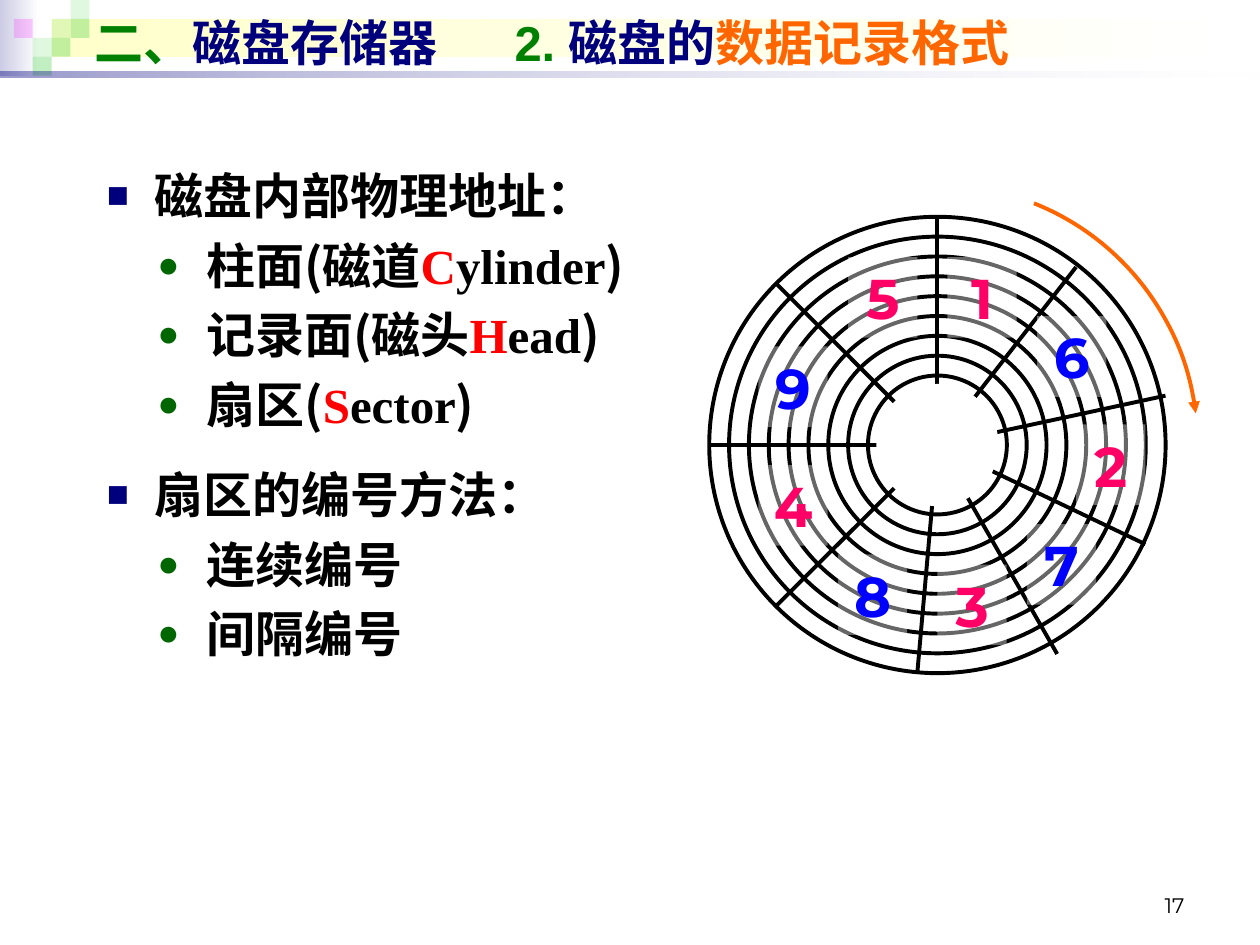
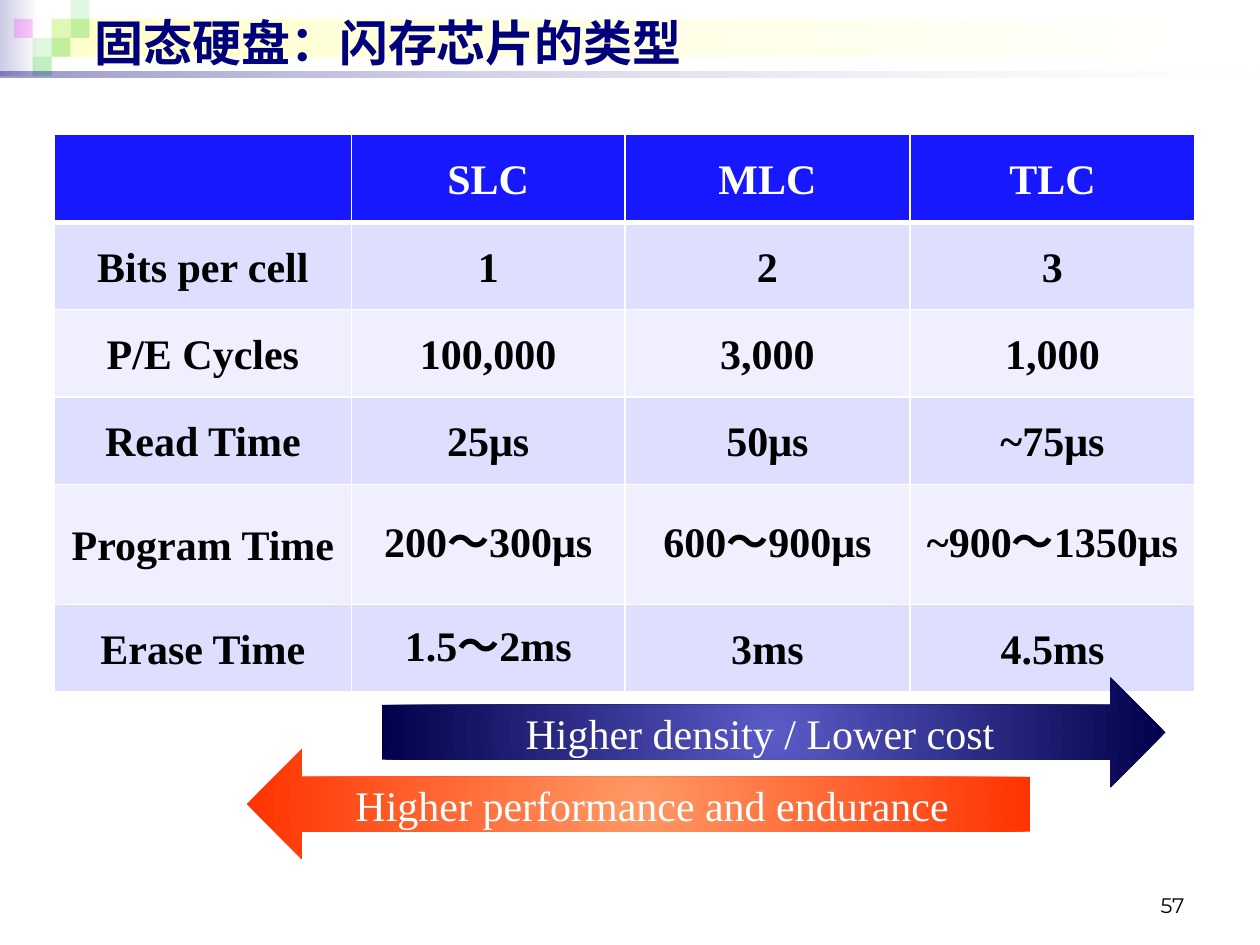
from pptx import Presentation
from pptx.dml.color import RGBColor
from pptx.enum.shapes import MSO_CONNECTOR, MSO_SHAPE as SHAPE
from pptx.enum.text import MSO_ANCHOR as ANCHOR, MSO_AUTO_SIZE, PP_ALIGN as ALIGN
from pptx.oxml.ns import qn
from pptx.util import Pt
from lxml.etree import SubElement

COLORS = {
    "white": "FFFFFF", "black": "000000", "navy": "00007D", "green": "008000",
    "orange": "FF6600", "red": "FF0000", "pink": "FF0066", "blue": "0000FF",
    "dot": "006600", "lilac": "CCCCE6", "cream": "FFFFCC", "lime": "33CC33",
    "magenta": "FF00FF", "head": "1818FF", "row_dark": "DEDEFF",
    "row_light": "EFEFFF", "indigo": "5B5BC7", "midnight": "00004A",
    "peach": "FF9966", "flame": "FF3300",
}
SERIF, SANS, CJK, LABEL = "Times New Roman", "Arial", "Noto Sans CJK SC", "Montserrat"

# Column, row, colour and opacity of the corner mosaic
MOSAIC = [(2, 1, "lime", 15), (3, 0, "lime", 15), (3, 1, "lime", 30),
          (1, 2, "lime", 15), (0, 1, "magenta", 20), (2, 2, "lime", 30),
          (1, 3, "lime", 30)]
TILE = 10.8


def rgb(name):
    return RGBColor.from_string(COLORS[name])


def add(parent, tag, **attrs):
    return SubElement(parent, qn(tag), {k: str(v) for k, v in attrs.items()})


class Deck:
    def __init__(self):
        self.prs = Presentation()
        self.prs.slide_width, self.prs.slide_height = Pt(720), Pt(540)
        self.s = None

    def slide(self, title, number):
        self.s = self.prs.slides.add_slide(self.prs.slide_layouts[5])
        self.band()
        self.title(title)
        self.text(516.2, 491.8, 167.8, 36, [(number, LABEL, "black")], 12,
                  ALIGN.RIGHT, ANCHOR.BOTTOM)

    def band(self):
        self.shape(SHAPE.RECTANGLE, 0, 0, 22.3, 43.2, ("lilac", "white"))
        self.shape(SHAPE.RECTANGLE, 29.5, TILE, 687.6, 21.6, ("cream", "white"))
        for col, row, color, alpha in MOSAIC:
            self.shape(SHAPE.RECTANGLE, 7.9 + col * TILE, row * TILE, TILE, TILE,
                       (color,), alphas=(alpha,))
        self.shape(SHAPE.RECTANGLE, 0, 41, 720, 3.6, ("navy", "white"), alphas=(40, 10))

    def title(self, runs):
        sp = self.s.shapes.title
        sp.left, sp.top, sp.width, sp.height = Pt(46.8), Pt(3.6), Pt(648), Pt(41)
        self.s.shapes.element.append(sp.element)  # in front of the band
        tf = sp.text_frame
        tf.auto_size, tf.vertical_anchor = MSO_AUTO_SIZE.NONE, ANCHOR.MIDDLE
        p = tf.paragraphs[0]
        p.alignment = ALIGN.LEFT
        tabs = add(p._p.get_or_add_pPr(), "a:tabLst")
        add(tabs, "a:tab", pos=Pt(240), algn="l")
        self.runs(p, [(text, SANS, color) for text, color in runs], 28, True)

    def runs(self, p, runs, size, bold=False):
        for text, font, color in runs:
            r = p.add_run()
            r.text = text
            r.font.name, r.font.size, r.font.bold = font, Pt(size), bold
            r.font.color.rgb = rgb(color)
            add(r._r.get_or_add_rPr(), "a:ea", typeface=CJK)

    def text(self, x, y, w, h, runs, size, align, anchor):
        tf = self.s.shapes.add_textbox(Pt(x), Pt(y), Pt(w), Pt(h)).text_frame
        tf.word_wrap, tf.vertical_anchor = True, anchor
        p = tf.paragraphs[0]
        p.alignment = align
        self.runs(p, runs, size)

    def bullets(self, x, y, w, h, items):
        tf = self.s.shapes.add_textbox(Pt(x), Pt(y), Pt(w), Pt(h)).text_frame
        tf.word_wrap = True
        for i, (level, runs) in enumerate(items):
            p = tf.paragraphs[0] if i == 0 else tf.add_paragraph()
            char, color, margin, hang, before = (
                ("●", "dot", 56.9, 28.1, 6) if level else ("■", "navy", 27.4, 27.4, 18))
            pPr = p._p.get_or_add_pPr()
            pPr.set("marL", str(Pt(margin)))
            pPr.set("indent", str(-Pt(hang)))
            add(add(pPr, "a:buClr"), "a:srgbClr", val=COLORS[color])
            add(pPr, "a:buSzPct", val=75000)
            add(pPr, "a:buFont", typeface=SANS)
            add(pPr, "a:buChar", char=char)
            p.line_spacing = Pt(33.7)
            p.space_before = Pt(before if i else 0)
            self.runs(p, runs, 28, True)

    def shape(self, kind, x, y, w, h, fill=(), line=None, alphas=(), radial=False):
        """One fill colour is solid, two make a gradient."""
        sp = self.s.shapes.add_shape(kind, Pt(x), Pt(y), Pt(w), Pt(h))
        sp.shadow.inherit = False
        spPr = sp.element.spPr
        if len(fill) == 2:
            sp.fill.gradient()
            sp.fill.gradient_angle = 0
            for stop, color in zip(sp.fill.gradient_stops, fill):
                stop.color.rgb = rgb(color)
        elif fill:
            sp.fill.solid()
            sp.fill.fore_color.rgb = rgb(fill[0])
        else:
            sp.fill.background()
        for clr, alpha in zip(spPr.findall(".//" + qn("a:srgbClr")), alphas):
            add(clr, "a:alpha", val=alpha * 1000)
        if radial:
            grad = spPr.find(qn("a:gradFill"))
            grad.remove(grad.find(qn("a:lin")))
            focus = add(grad, "a:path", path="circle")
            add(focus, "a:fillToRect", l=50000, t=50000, r=50000, b=50000)
        if line:
            sp.line.color.rgb, sp.line.width = rgb(line), Pt(2.25)
        else:
            sp.line.fill.background()
        return sp

    def label(self, sp, text, font, color, size, bold=False):
        tf = sp.text_frame
        tf.word_wrap, tf.vertical_anchor = False, ANCHOR.MIDDLE
        p = tf.paragraphs[0]
        p.alignment = ALIGN.CENTER
        self.runs(p, [(text, font, color)], size, bold)

    def circle(self, cx, cy, radius, fill=(), line="black"):
        self.shape(SHAPE.OVAL, cx - radius, cy - radius, 2 * radius, 2 * radius, fill, line)

    def arc_arrow(self, cx, cy, radius, start, end, color):
        sp = self.shape(SHAPE.ARC, cx - radius, cy - radius, 2 * radius, 2 * radius,
                        line=color)
        for i, degrees in enumerate((start, end)):
            sp.adjustments[i] = degrees * 0.6
        add(sp.element.spPr.find(qn("a:ln")), "a:tailEnd", type="triangle")

    def line(self, x1, y1, x2, y2):
        c = self.s.shapes.add_connector(MSO_CONNECTOR.STRAIGHT, Pt(x1), Pt(y1), Pt(x2), Pt(y2))
        c.line.color.rgb, c.line.width = rgb("black"), Pt(2.25)
        add(c.element.spPr, "a:effectLst")

    def table(self, x, y, widths, heights, rows):
        table = self.s.shapes.add_table(len(rows), len(widths), Pt(x), Pt(y),
                                        Pt(sum(widths)), Pt(sum(heights))).table
        for col, width in zip(table.columns, widths):
            col.width = Pt(width)
        for i, (row, height) in enumerate(zip(rows, heights)):
            table.rows[i].height = Pt(height)
            fill = "head" if i == 0 else "row_dark" if i % 2 else "row_light"
            for j, text in enumerate(row):
                cell = table.cell(i, j)
                self.borders(cell, top=3 if i == 1 else 1, bottom=3 if i == 0 else 1)
                cell.fill.solid()
                cell.fill.fore_color.rgb = rgb(fill)
                cell.vertical_anchor = ANCHOR.MIDDLE
                if text:
                    p = cell.text_frame.paragraphs[0]
                    p.alignment, p.line_spacing = ALIGN.CENTER, Pt(28.7)
                    self.runs(p, [(text, SERIF, "black" if i else "white")], 24, True)

    def borders(self, cell, top, bottom):
        tcPr = cell._tc.get_or_add_tcPr()
        for side, width in zip("LRTB", (1, 1, top, bottom)):
            ln = add(tcPr, "a:ln" + side, w=Pt(width))
            add(add(ln, "a:solidFill"), "a:srgbClr", val=COLORS["white"])


def term(chinese, initial="", rest=""):
    """A Chinese term with its English name in brackets, initial in red."""
    before, _, inside = chinese.partition("(")
    runs = [(before, SERIF, "black"), ("(", CJK, "black"), (inside, SERIF, "black"),
            (initial, SERIF, "red"), (rest, SERIF, "black"), (")", CJK, "black")]
    return 1, [run for run in runs if run[0]]


def plain(level, text):
    return level, [(text, SERIF, "black")]


def disk_slide(deck):
    deck.slide([("二、", "green"), ("磁盘存储器\t", "navy"), ("2. ", "green"),
                ("磁盘的", "navy"), ("数据记录格式", "orange")], "17")
    deck.bullets(54, 91, 583.9, 374.4, [
        plain(0, "磁盘内部物理地址："),
        term("柱面(磁道", "C", "ylinder"),
        term("记录面(磁头", "H", "ead"),
        term("扇区(", "S", "ector"),
        plain(0, "扇区的编号方法："),
        plain(1, "连续编号"),
        plain(1, "间隔编号"),
    ])

    # Tracks, sector borders and hub
    cx, cy = 535.7, 254.3
    for track in range(9):
        deck.circle(cx, cy, 130.4 - 11.34 * track)
    for x, y in [(614.9, 152.6), (666, 226.1), (654.5, 311), (604.1, 373.7),
                 (524.2, 384.5), (443.5, 346.3), (405.4, cy), (443.5, 162),
                 (cx, 123.8)]:
        deck.line(cx, cy, x, y)
    deck.circle(cx, cy, 33.8, ("white",), "white")

    # Sector numbers
    corners = [(541.4, 146.9), (614.9, 242.6), (535.7, 322.6), (433.4, 265.7),
               (484.6, 146.9), (592.6, 180.7), (586.8, 299.5), (478.8, 316.8),
               (433.4, 198)]
    for number, (x, y) in enumerate(corners, 1):
        sp = deck.shape(SHAPE.RECTANGLE, x, y, 39.6, 46.1, ("white",), alphas=(40,))
        deck.label(sp, str(number), LABEL, "pink" if number <= 5 else "blue", 32, True)

    # Direction of rotation
    deck.arc_arrow(cx, cy, 148.7, 291.78, 353.02, "orange")


def flash_slide(deck):
    deck.slide([("固态硬盘：闪存芯片的类型", "navy")], "57")
    deck.table(31, 77, [169.9, 156.2, 162.9, 162.9], [50, 50, 50, 50, 68.6, 50], [
        ["", "SLC", "MLC", "TLC"],
        ["Bits per cell", "1", "2", "3"],
        ["P/E Cycles", "100,000", "3,000", "1,000"],
        ["Read Time", "25μs", "50μs", "~75μs"],
        ["Program Time", "200～300μs", "600～900μs", "~900～1350μs"],
        ["Erase Time", "1.5～2ms", "3ms", "4.5ms"],
    ])

    # Trade-off arrows
    for kind, x, y, fill, text in [
            (SHAPE.RIGHT_ARROW, 218.2, 387.2, ("indigo", "midnight"),
             "Higher density / Lower cost"),
            (SHAPE.LEFT_ARROW, 141, 428.3, ("peach", "flame"),
             "Higher performance and endurance")]:
        sp = deck.shape(kind, x, y, 447.8, 62.6, fill, radial=True)
        deck.label(sp, text, SERIF, "white", 24)


def main():
    deck = Deck()
    disk_slide(deck)
    flash_slide(deck)
    deck.prs.save("out.pptx")


if __name__ == "__main__":
    main()
